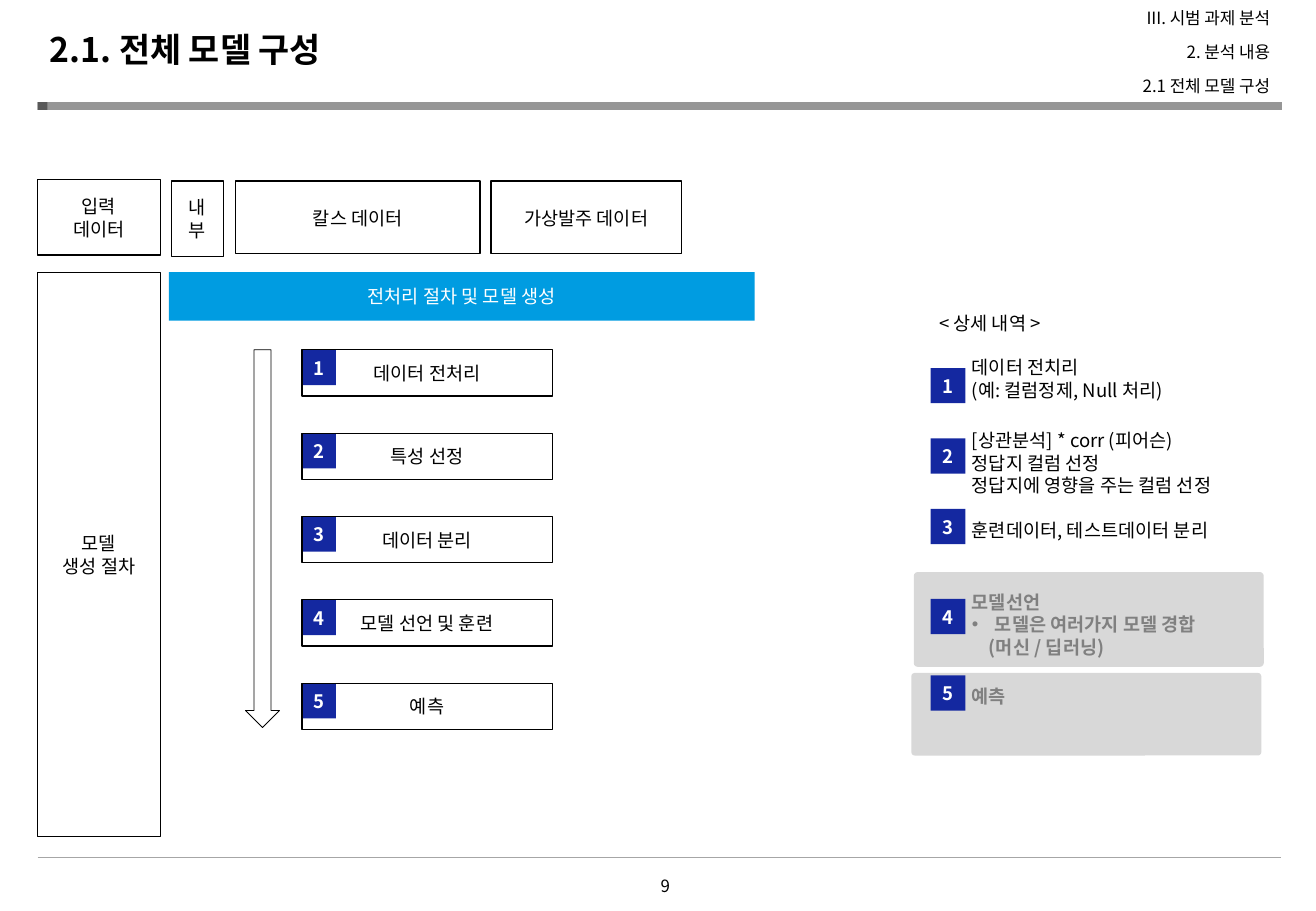
from lxml import etree
from pptx import Presentation
from pptx import util as u
from pptx.dml.color import RGBColor
from pptx.enum import shapes, text
from pptx.oxml import ns

BLACK = RGBColor(0x00, 0x00, 0x00)
WHITE = RGBColor(0xFF, 0xFF, 0xFF)
NAVY = RGBColor(0x14, 0x28, 0xA0)
SKY = RGBColor(0x00, 0x9C, 0xE1)
CARD_GRAY = RGBColor(0xD8, 0xD8, 0xD8)
MUTED = RGBColor(0x80, 0x80, 0x80)
BAR_GRAY = RGBColor(0x96, 0x96, 0x96)
BAR_TIP = RGBColor(0x59, 0x59, 0x59)
RULE_GRAY = RGBColor(0xA6, 0xA6, 0xA6)

LEFT, CENTER, RIGHT = text.PP_ALIGN.LEFT, text.PP_ALIGN.CENTER, text.PP_ALIGN.RIGHT
TOP, MIDDLE = text.MSO_ANCHOR.TOP, text.MSO_ANCHOR.MIDDLE
FORM = shapes.MSO_SHAPE


class Board:
    """Draws styled elements on one slide, placed by columns and rows of its grid."""

    FONT = "Noto Sans CJK KR"
    LEADING = 1.22
    COLUMNS, ROWS = 108.3, 75

    def __init__(self, deck):
        self.slide = deck.slides.add_slide(deck.slide_layouts[6])
        self.column = deck.slide_width / self.COLUMNS
        self.row = deck.slide_height / self.ROWS

    def place(self, x, y, w, h):
        return [u.Emu(round(n * step)) for n, step in
                zip((x, y, w, h), (self.column, self.row) * 2)]

    def letter(self, element, words, size=11, color=BLACK, bold=False, align=CENTER, anchor=MIDDLE):
        frame = element.text_frame
        frame.word_wrap = True
        frame.vertical_anchor = anchor
        frame.text = words
        for paragraph in frame.paragraphs:
            paragraph.alignment = align
            paragraph.line_spacing = u.Pt(round(size * self.LEADING, 1))
            for run in paragraph.runs:
                run.font.name, run.font.size = self.FONT, u.Pt(size)
                run.font.bold, run.font.color.rgb = bold, color
                east = etree.Element(ns.qn("a:ea"), typeface=self.FONT)
                run._r.get_or_add_rPr().find(ns.qn("a:latin")).addnext(east)
        return frame

    def shape(self, area, form=FORM.RECTANGLE, fill=None, line=None, weight=0.75):
        element = self.slide.shapes.add_shape(form, *self.place(*area))
        element.shadow.inherit = False
        if fill is None:
            element.fill.background()
        else:
            element.fill.solid()
            element.fill.fore_color.rgb = fill
        if line is None:
            element.line.fill.background()
        else:
            element.line.color.rgb = line
            element.line.width = u.Pt(weight)
        return element

    def label(self, area, words, **style):
        return self.letter(self.slide.shapes.add_textbox(*self.place(*area)), words, **style)

    def box(self, area, words):
        return self.letter(self.shape(area, line=BLACK), words)

    def badge(self, x, y, number):
        frame = self.letter(self.shape((x, y, 2.85, 2.9), fill=NAVY), str(number),
                            color=WHITE, bold=True)
        frame.word_wrap = False

    def card(self, area):
        self.shape(area, FORM.ROUNDED_RECTANGLE, CARD_GRAY).adjustments[0] = 0.04

    def rule(self, x, y, w):
        left, top, width, _ = self.place(x, y, w, 0)
        line = self.slide.shapes.add_connector(
            shapes.MSO_CONNECTOR.STRAIGHT, left, top, left + width, top)
        line.line.color.rgb, line.line.width = RULE_GRAY, u.Pt(1)
        etree.SubElement(line._element.spPr, ns.qn("a:effectLst"))

    def indent(self, paragraph, margin, hanging=0, bullet=None):
        properties = paragraph._p.get_or_add_pPr()
        properties.set("marL", str(round(margin * self.column)))
        properties.set("indent", str(round(-hanging * self.column)))
        if bullet:
            etree.SubElement(properties, ns.qn("a:buFont")).set("typeface", "Arial")
            etree.SubElement(properties, ns.qn("a:buChar")).set("char", bullet)


def main():
    deck = Presentation()
    deck.slide_width, deck.slide_height = u.Inches(10.83), u.Inches(7.5)
    board = Board(deck)

    board.label((42.1, 70.9, 25.3, 4), "9", size=10)
    board.shape((3.1, 8.4, 102.4, 0.65), fill=BAR_GRAY)
    board.shape((3.1, 8.4, 0.8, 0.65), fill=BAR_TIP)
    board.rule(3.1, 70.6, 102.3)
    board.label((3.1, 1.8, 78.3, 5), "2.1. 전체 모델 구성", size=20, bold=True,
                align=LEFT, anchor=TOP)
    for level, crumb in enumerate(("III. 시범 과제 분석", "2. 분석 내용", "2.1 전체 모델 구성")):
        board.label((83.4, 0.1 + 2.8 * level, 22.1, 2.7), crumb, size=10,
                    align=RIGHT, anchor=TOP)

    for area, words in (
        ((3.1, 14.8, 10.1, 6.2), "입력\n데이터"),
        ((14.1, 14.9, 4.3, 6.2), "내부"),
        ((19.4, 14.9, 20.1, 6), "칼스 데이터"),
        ((40.4, 14.9, 15.7, 6), "가상발주 데이터"),
        ((3.1, 22.45, 10.1, 46.4), "모델\n생성 절차"),
    ):
        board.box(area, words)
    process_band = board.shape((13.9, 22.4, 48.2, 4), fill=SKY)
    board.letter(process_band, "전처리 절차 및 모델 생성", color=WHITE)

    steps = ("데이터 전처리", "특성 선정", "데이터 분리", "모델 선언 및 훈련", "예측")
    for index, step in enumerate(steps):
        top = 28.8 + 6.86 * index
        board.badge(24.8, top, index + 1)
        board.box((24.85, top, 20.6, 3.8), step)
    board.shape((20.2, 28.8, 2.8, 31.1), FORM.DOWN_ARROW, WHITE, BLACK, 0.5)

    board.card((75, 55.4, 28.8, 6.8))
    board.card((75.2, 47.1, 28.8, 7.8))
    board.label((76.3, 25.2, 22.8, 3.4), "< 상세 내역 >", align=LEFT, anchor=TOP)
    details = (
        (30.3, 28.8, "데이터 전치리\n(예: 컬럼정제, Null 처리)", False),
        (36.1, 34.8, "[상관분석] * corr (피어슨)\n정답지 컬럼 선정\n정답지에 영향을 주는 컬럼 선정", False),
        (41.9, 42.2, "훈련데이터, 테스트데이터 분리", False),
        (49.3, 48.1, "모델선언\n모델은 여러가지 모델 경합\n(머신 / 딥러닝)", True),
        (55.6, 55.9, "예측", True),
    )
    for number, (badge_top, top, words, muted) in enumerate(details, 1):
        board.badge(76.6, badge_top, number)
        detail = board.label((79, top, 26.4, 4.9), words, color=MUTED if muted else BLACK,
                             bold=muted, align=LEFT, anchor=TOP)
        if number == 4:
            _, contest, methods = detail.paragraphs
            board.indent(contest, 1.9, 1.9, "•")
            board.indent(methods, 1.4)

    deck.save("out.pptx")


if __name__ == "__main__":
    main()
